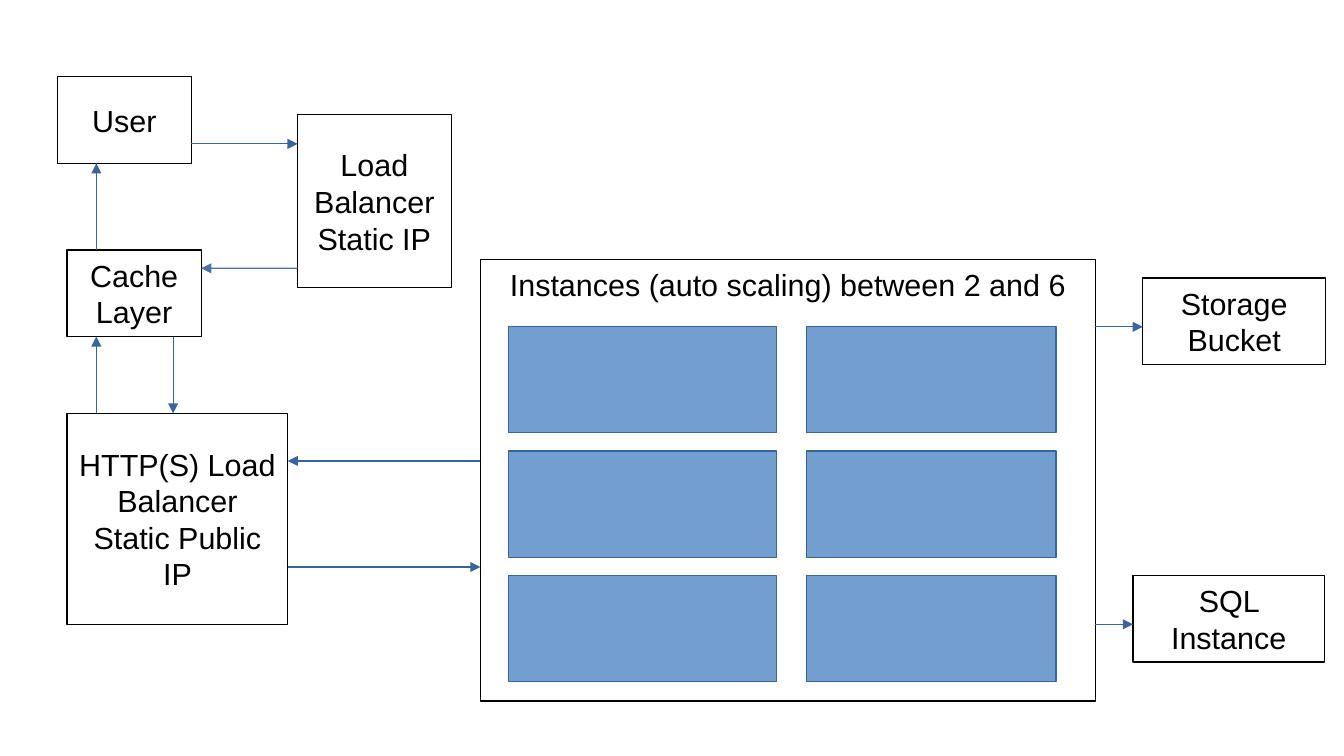
from dataclasses import dataclass
from itertools import product

from lxml.etree import SubElement
from pptx import Presentation
from pptx.dml.color import RGBColor
from pptx.enum.shapes import MSO_CONNECTOR as Connector, MSO_SHAPE as Preset
from pptx.enum.text import MSO_ANCHOR as Anchor, PP_ALIGN as Align
from pptx.oxml.ns import qn
from pptx.shapes.autoshape import Shape
from pptx.slide import Slide
from pptx.util import Inches, Pt

COLORS = {"ink": "000000", "arrow": "3465A4", "instance": "729FCF"}
FONT = "Arial"
LINE_WIDTH = Pt(0.75)


@dataclass(frozen=True)
class Box:
    left: float
    top: float
    width: float
    height: float
    label: str = ""
    anchor: Anchor = Anchor.MIDDLE


@dataclass(frozen=True)
class Arrow:
    start: tuple[float, float]
    tip: tuple[float, float]
    opacity: int = 100


BOXES = [
    Box(0.47, 0.63, 1.1, 0.71, "User"),
    Box(2.44, 0.94, 1.26, 1.42, "Load Balancer Static IP"),
    Box(0.55, 2.05, 1.1, 0.71, "Cache Layer"),
    Box(0.55, 3.39, 1.81, 1.73, "HTTP(S) Load Balancer Static Public IP"),
    Box(3.94, 2.13, 5.04, 3.62, "Instances (auto scaling) between 2 and 6", Anchor.TOP),
    Box(9.37, 2.28, 1.5, 0.71, "Storage Bucket"),
    Box(9.29, 4.72, 1.57, 0.71, "SQL Instance"),
]

ARROWS = [
    Arrow((1.57, 1.18), (2.44, 1.18)),  # user to load balancer
    Arrow((2.44, 2.2), (1.65, 2.2), opacity=90),  # load balancer to cache
    Arrow((0.79, 2.05), (0.79, 1.34)),  # cache to user
    Arrow((0.79, 3.39), (0.79, 2.76)),  # HTTP(S) balancer to cache
    Arrow((1.42, 2.76), (1.42, 3.39)),  # cache to HTTP(S) balancer
    Arrow((3.94, 3.78), (2.36, 3.78)),  # instances to HTTP(S) balancer
    Arrow((2.36, 4.65), (3.94, 4.65)),  # HTTP(S) balancer to instances
    Arrow((8.98, 2.68), (9.37, 2.68)),  # instances to storage
    Arrow((8.98, 5.12), (9.29, 5.12)),  # instances to SQL
]

# Instance grid: (left, width) of each column, then the rows
INSTANCE_COLUMNS = [(4.17, 2.2), (6.61, 2.05)]
INSTANCE_ROWS, FIRST_ROW, ROW_STEP, INSTANCE_HEIGHT = 3, 2.68, 1.02, 0.87


def color(name: str) -> RGBColor:
    return RGBColor.from_string(COLORS[name])


def draw_rectangle(slide: Slide, box: Box, line: str, fill: str | None = None) -> Shape:
    shape = slide.shapes.add_shape(
        Preset.RECTANGLE,
        Inches(box.left), Inches(box.top), Inches(box.width), Inches(box.height),
    )
    shape.shadow.inherit = False
    if fill:
        shape.fill.solid()
        shape.fill.fore_color.rgb = color(fill)
    else:
        shape.fill.background()
    shape.line.color.rgb = color(line)
    shape.line.width = LINE_WIDTH
    return shape


def draw_box(slide: Slide, box: Box) -> None:
    frame = draw_rectangle(slide, box, "ink").text_frame
    frame.word_wrap = True
    frame.vertical_anchor = box.anchor
    paragraph = frame.paragraphs[0]
    paragraph.alignment = Align.CENTER
    run = paragraph.add_run()
    run.text = box.label
    run.font.name = FONT
    run.font.size = Pt(18)
    run.font.color.rgb = color("ink")


def draw_arrow(slide: Slide, arrow: Arrow) -> None:
    points = [Inches(value) for value in (*arrow.start, *arrow.tip)]
    connector = slide.shapes.add_connector(Connector.STRAIGHT, *points)
    connector.line.color.rgb = color("arrow")
    connector.line.width = LINE_WIDTH
    properties = connector._element.spPr
    line = properties.find(qn("a:ln"))
    if arrow.opacity < 100:
        rgb = line.find(f".//{qn('a:srgbClr')}")
        SubElement(rgb, qn("a:alpha"), val=str(arrow.opacity * 1000))
    SubElement(line, qn("a:tailEnd"), type="triangle")
    SubElement(properties, qn("a:effectLst"))


presentation = Presentation()
presentation.slide_width = Inches(11.02)
presentation.slide_height = Inches(6.2)
slide = presentation.slides.add_slide(presentation.slide_layouts[6])

# Labelled components and the traffic between them
for box in BOXES:
    draw_box(slide, box)
for arrow in ARROWS:
    draw_arrow(slide, arrow)

# Instances in the scaling group
for (left, width), row in product(INSTANCE_COLUMNS, range(INSTANCE_ROWS)):
    instance = Box(left, FIRST_ROW + row * ROW_STEP, width, INSTANCE_HEIGHT)
    draw_rectangle(slide, instance, "arrow", "instance")

presentation.save("out.pptx")
